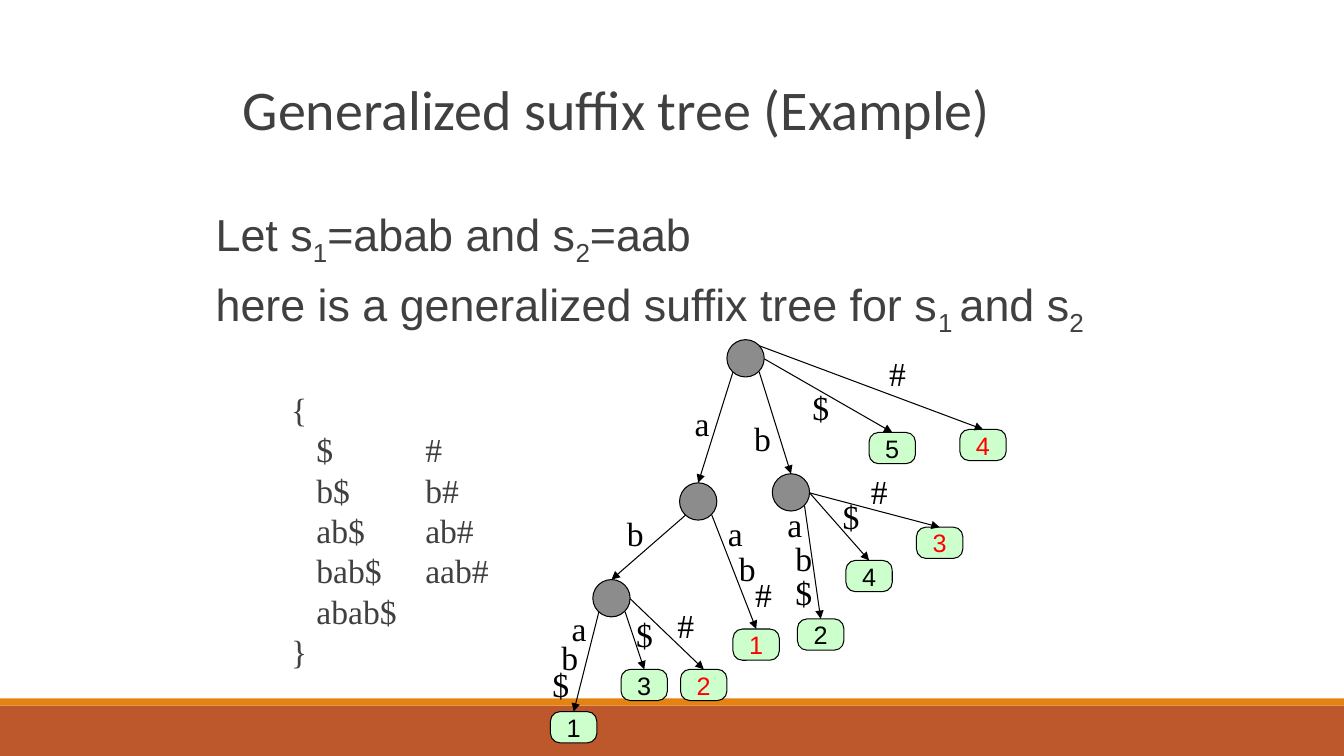
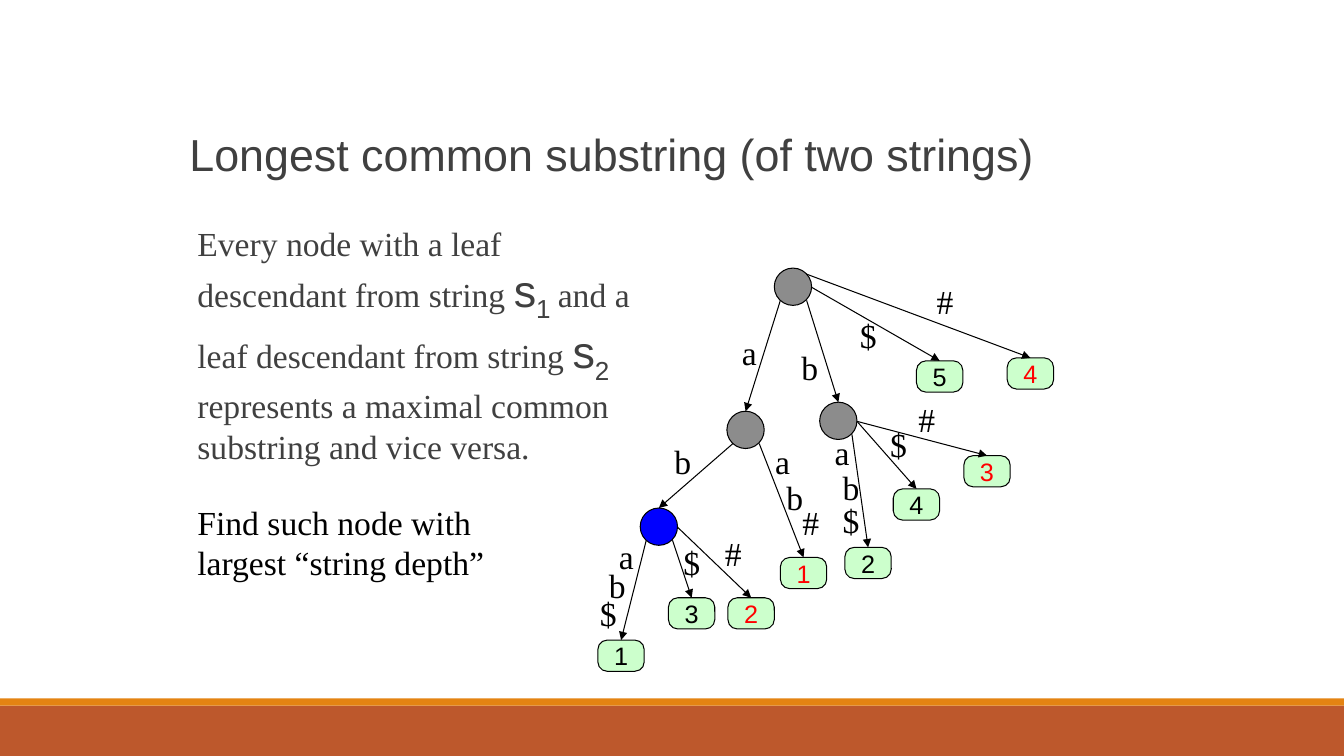
"""Build two slides on generalized suffix trees and the longest common substring."""
from dataclasses import dataclass
from typing import NamedTuple

from lxml import etree
from pptx import Presentation
from pptx.dml.color import RGBColor
from pptx.enum.shapes import MSO_CONNECTOR, MSO_SHAPE
from pptx.enum.text import MSO_ANCHOR, PP_ALIGN
from pptx.oxml.ns import qn
from pptx.util import Inches, Pt

BLACK = RGBColor(0x00, 0x00, 0x00)
RED = RGBColor(0xFF, 0x00, 0x00)
BLUE = RGBColor(0x00, 0x00, 0xFF)
GREY = RGBColor(0x8C, 0x8C, 0x8C)
CHARCOAL = RGBColor(0x40, 0x40, 0x40)
MINT = RGBColor(0xCC, 0xFF, 0xCC)
RUST = RGBColor(0xBD, 0x58, 0x2C)
ORANGE = RGBColor(0xE4, 0x83, 0x12)

RECTANGLE = MSO_SHAPE.RECTANGLE
ROUNDED = MSO_SHAPE.ROUNDED_RECTANGLE
OVAL = MSO_SHAPE.OVAL
STRAIGHT = MSO_CONNECTOR.STRAIGHT
MIDDLE = MSO_ANCHOR.MIDDLE
CENTER = PP_ALIGN.CENTER

SLIDE_W, SLIDE_H = 13.33, 7.5
NODE = 0.37
LEAF_W, LEAF_H = 0.46, 0.31
LABEL_W, LABEL_H = 0.42, 0.5
TOP = 0


class Style(NamedTuple):
    """Font, size and colour of a run."""
    name: str
    size: int
    color: RGBColor = CHARCOAL


class Span(NamedTuple):
    """A piece of text in one style."""
    text: str
    style: Style
    subscript: bool = False


class Label(NamedTuple):
    """An edge letter, placed from the root's corner."""
    text: str
    left: float
    top: float


@dataclass(frozen=True)
class Branch:
    """An edge from a node to an inner node or a numbered leaf."""
    parent: str
    site: str
    child: str
    left: float
    top: float
    labels: tuple[Label, ...]
    leaf_color: RGBColor | None = None


HEADING = Style("Calibri", 40)
LARGE = Style("Arial", 32)
PROSE = Style("Times New Roman", 24)
PROSE_BLACK = PROSE._replace(color=BLACK)
LEAF = Style("Arial", 18, BLACK)

SITES = {
    "lower left": (0.06, 0.32),
    "lower right": (0.32, 0.32),
    "right": (0.37, 0.19),
    "upper right": (0.32, 0.06),
}

BRANCHES = (
    Branch("root", "lower left", "a", -0.47, 1.42, (Label("a", -0.42, 0.58),)),
    Branch("root", "lower right", "b", 0.45, 1.33, (Label("b", 0.17, 0.73),)),
    Branch("a", "lower left", "ab", -1.33, 2.38, (Label("b", -1.09, 1.67),)),
    Branch("root", "right", "5", 1.41, 0.92, (Label("$", 0.75, 0.42),), BLACK),
    Branch("root", "upper right", "4", 2.31, 0.89, (Label("#", 1.51, 0.08),), RED),
    Branch("a", "lower right", "1", 0.06, 2.87,
           (Label("a", -0.09, 1.67), Label("b", 0.02, 2.02), Label("#", 0.18, 2.27)), RED),
    Branch("b", "lower right", "2", 0.7, 2.77,
           (Label("a", 0.5, 1.58), Label("b", 0.58, 1.92), Label("$", 0.58, 2.25)), BLACK),
    Branch("b", "right", "4", 1.18, 2.19, (Label("$", 1.05, 1.5),), BLACK),
    Branch("b", "right", "3", 1.88, 1.86, (Label("#", 1.33, 1.25),), RED),
    Branch("ab", "lower left", "1", -1.75, 3.69,
           (Label("a", -1.64, 2.61), Label("b", -1.74, 2.9), Label("$", -1.83, 3.17)), BLACK),
    Branch("ab", "lower right", "3", -1.05, 3.27, (Label("$", -1.0, 2.67),), BLACK),
    Branch("ab", "right", "2", -0.46, 3.27, (Label("#", -0.59, 2.58),), RED),
)

SUFFIXES = ("{", "\t$\t#", "\tb$\tb#", "\tab$\tab#", "\tbab$\taab#", "\tabab$", "}")
SUFFIX_TABS = (0.25, 1.33)


def add_span(paragraph, span: Span) -> None:
    """Append one styled run."""
    run = paragraph.add_run()
    run.text = span.text
    formats = {"name": span.style.name, "size": Pt(span.style.size)}
    for attribute, value in formats.items():
        setattr(run.font, attribute, value)
    run.font.color.rgb = span.style.color
    if span.subscript:
        run._r.get_or_add_rPr().set("baseline", "-25000")


def add_text(slide, left: float, top: float, width: float, height: float,
             lines: list[list[Span]], **formats):
    """Add a wrapping text box and return its frame."""
    frame = slide.shapes.add_textbox(
        Inches(left), Inches(top), Inches(width), Inches(height)).text_frame
    frame.word_wrap = True
    for index, spans in enumerate(lines):
        paragraph = frame.add_paragraph() if index else frame.paragraphs[0]
        for attribute, value in formats.items():
            setattr(paragraph, attribute, value)
        for span in spans:
            add_span(paragraph, span)
    return frame


def add_block(slide, kind, left: float, top: float, width: float, height: float,
              fill: RGBColor, outline: RGBColor | None = None):
    """Add a flat filled shape, outlined if a colour is given."""
    block = slide.shapes.add_shape(
        kind, Inches(left), Inches(top), Inches(width), Inches(height))
    block.shadow.inherit = False
    block.fill.solid()
    block.fill.fore_color.rgb = fill
    if outline is None:
        block.line.fill.background()
    else:
        block.line.color.rgb = outline
        block.line.width = Pt(0.75)
    return block


def add_leaf(slide, left: float, top: float, number: str, color: RGBColor):
    """Add a numbered leaf."""
    leaf = add_block(slide, ROUNDED, left, top, LEAF_W, LEAF_H, MINT, BLACK)
    leaf.adjustments[0] = 0.3
    frame = leaf.text_frame
    for attribute, value in {"word_wrap": False, "vertical_anchor": MIDDLE}.items():
        setattr(frame, attribute, value)
    frame.paragraphs[0].alignment = CENTER
    add_span(frame.paragraphs[0], Span(number, LEAF._replace(color=color)))
    return leaf


def add_arrow(slide, left: float, top: float, target) -> None:
    """Draw an arrow from a point to the top of a shape."""
    arrow = slide.shapes.add_connector(
        STRAIGHT, Inches(left), Inches(top), target.left, target.top)
    arrow.end_connect(target, TOP)
    arrow.line.color.rgb = BLACK
    arrow.line.width = Pt(0.75)
    etree.SubElement(arrow.line._get_or_add_ln(), qn("a:tailEnd"), type="triangle")
    etree.SubElement(arrow._element.spPr, qn("a:effectLst"))


def add_tree(slide, left: float, top: float, highlight: str = "") -> None:
    """Draw the suffix tree with its root's corner at the given place."""
    corners = {"root": (left, top)}
    add_block(slide, OVAL, left, top, NODE, NODE, GREY, BLACK)
    for branch in BRANCHES:
        x, y = left + branch.left, top + branch.top
        if branch.leaf_color is None:
            corners[branch.child] = (x, y)
            fill = BLUE if branch.child == highlight else GREY
            target = add_block(slide, OVAL, x, y, NODE, NODE, fill, BLACK)
        else:
            target = add_leaf(slide, x, y, branch.child, branch.leaf_color)
        parent_x, parent_y = corners[branch.parent]
        site_x, site_y = SITES[branch.site]
        add_arrow(slide, parent_x + site_x, parent_y + site_y, target)
        for label in branch.labels:
            add_text(slide, left + label.left, top + label.top, LABEL_W, LABEL_H,
                     [[Span(label.text, PROSE_BLACK)]])


def set_tabs(frame, stops: tuple[float, ...]) -> None:
    """Give every paragraph the same left tab stops."""
    for paragraph in frame.paragraphs:
        tabs = etree.SubElement(paragraph._p.get_or_add_pPr(), qn("a:tabLst"))
        for stop in stops:
            etree.SubElement(tabs, qn("a:tab"), pos=str(Inches(stop)), algn="l")


def new_slide(deck):
    """Add a blank slide with the footer bands."""
    slide = deck.slides.add_slide(deck.slide_layouts[6])
    add_block(slide, RECTANGLE, 0, 7, SLIDE_W, 0.5, RUST)
    add_block(slide, RECTANGLE, 0, 6.93, SLIDE_W, 0.07, ORANGE)
    return slide


def build_example(deck) -> None:
    """Build the generalized suffix tree example."""
    slide = new_slide(deck)
    add_text(slide, 2.31, 0.77, 8.62, 1.45,
             [[Span("Generalized suffix tree (Example)", HEADING)]], line_spacing=0.9)
    add_text(slide, 2.04, 2, 9.25, 1.29, [
        [Span("Let s", LARGE), Span("1", LARGE, True),
         Span("=abab and s", LARGE), Span("2", LARGE, True),
         Span("=aab", LARGE)],
        [Span("here is a generalized suffix tree for s", LARGE), Span("1 ", LARGE, True),
         Span("and s", LARGE), Span("2", LARGE, True)],
    ], space_after=Pt(6.4))
    suffix_frame = add_text(slide, 2.79, 3.81, 2.54, 2.93,
                            [[Span(suffix, PROSE)] for suffix in SUFFIXES])
    set_tabs(suffix_frame, SUFFIX_TABS)
    add_tree(slide, 7.21, 3.37)


def build_common_substring(deck) -> None:
    """Build the longest common substring slide."""
    slide = new_slide(deck)
    add_text(slide, 1.78, 1.21, 9.25, 0.63,
             [[Span("Longest common substring (of two strings)", LARGE)]])
    add_text(slide, 1.86, 2.16, 4.67, 2.39, [
        [Span("Every node with a leaf descendant from string ", PROSE),
         Span("s", LARGE), Span("1 ", LARGE, True),
         Span("and a leaf descendant from string ", PROSE),
         Span("s", LARGE), Span("2", LARGE, True)],
        [Span("represents a maximal common substring and vice versa.", PROSE)],
    ])
    add_text(slide, 1.86, 4.93, 3.67, 0.9,
             [[Span("Find such node with largest “string depth”", PROSE_BLACK)]])
    add_tree(slide, 7.68, 2.66, highlight="ab")


def main() -> None:
    """Build and save the deck."""
    deck = Presentation()
    deck.slide_width, deck.slide_height = Inches(SLIDE_W), Inches(SLIDE_H)
    build_example(deck)
    build_common_substring(deck)
    deck.save("out.pptx")


if __name__ == "__main__":
    main()
